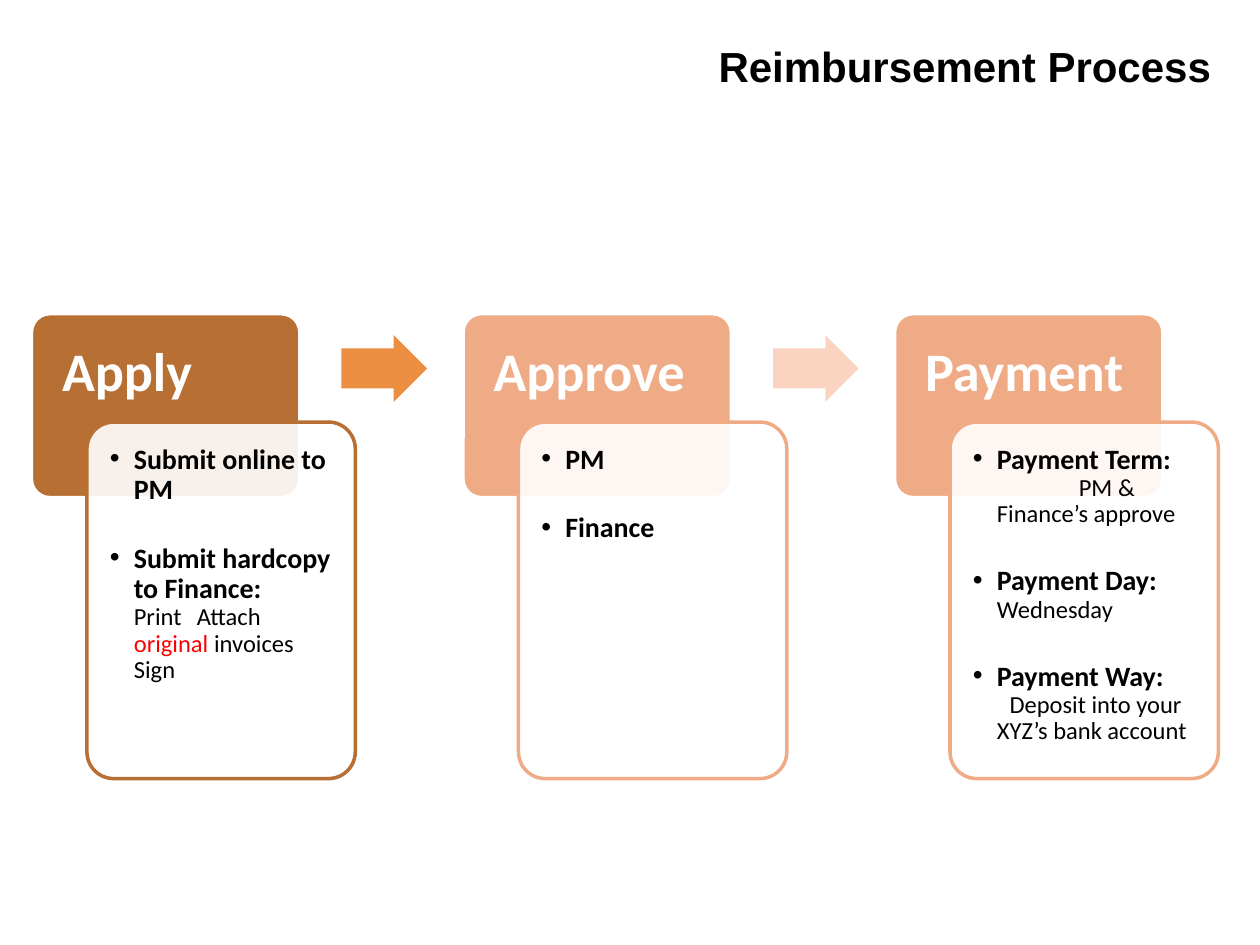
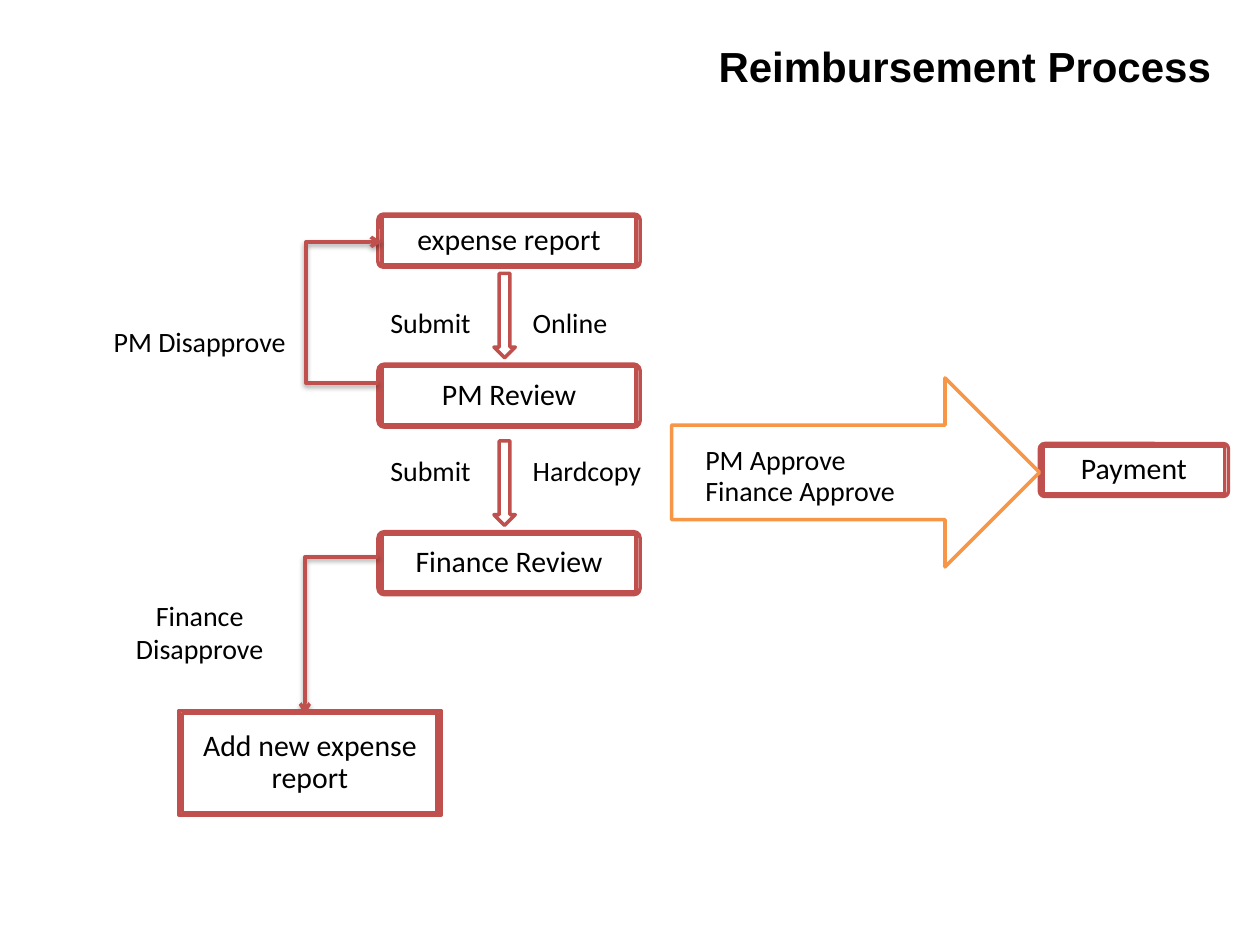
from lxml import etree
from pptx import Presentation
from pptx.dml.color import RGBColor
from pptx.enum.shapes import MSO_CONNECTOR as CONN, MSO_SHAPE as SHAPE
from pptx.enum.text import MSO_ANCHOR as ANCHOR, PP_ALIGN as ALIGN
from pptx.oxml.ns import qn
from pptx.util import Inches, Pt

TITLE = "Reimbursement Process"
BLACK, WHITE, RED = "000000", "FFFFFF", "FF0000"
BROWN, PEACH, BRICK, ORANGE = "B76F34", "EFAB85", "C0504D", "F79646"

# "first" is the extra indent of the first detail line
CARDS = [
    {"name": "Apply", "color": BROWN, "items": [
        {"head": "Submit online to PM"},
        {"head": "Submit hardcopy to Finance:", "details": [
            [("Print\tAttach ", BLACK), ("original ", RED), ("invoices", BLACK)],
            [("Sign", BLACK)]]}]},
    {"name": "Approve", "color": PEACH, "items": [
        {"head": "PM"}, {"head": "Finance"}]},
    {"name": "Payment", "color": PEACH, "items": [
        {"head": "Payment Term:", "first": 0.65,
         "details": [[("PM & Finance’s approve", BLACK)]]},
        {"head": "Payment Day:", "details": [[("Wednesday", BLACK)]]},
        {"head": "Payment Way:", "first": 0.1,
         "details": [[("Deposit into your XYZ’s bank account", BLACK)]]}]},
]
CARD_LEFT, CARD_PITCH, CARD_TOP = 0.25, 3.425, 2.49
CARD_ARROWS = ["EC8F43", "FBD4C1"]
BULLET_INDENT, DETAIL_TAB = 0.19, 0.92

STEPS = [
    ("expense report", 3, 1.7, 2.08, 0.42),
    ("PM Review", 3, 2.89, 2.08, 0.5),
    ("Finance Review", 3, 4.22, 2.08, 0.5),
    ("Payment", 8.25, 3.52, 1.5, 0.42),
]
NEW_REPORT = ("Add new expense report", 1.42, 5.64, 2.08, 0.83)
DOWN_ARROW_TOPS = [2.17, 3.5]
LABELS = [
    ("PM Approve", 5.5, 3.46, 1.83, ALIGN.LEFT),
    ("Finance Approve", 5.5, 3.71, 2.08, ALIGN.LEFT),
    ("PM Disapprove", 0.67, 2.53, 1.83, ALIGN.CENTER),
    ("Finance Disapprove", 0.67, 4.7, 1.83, ALIGN.CENTER),
    ("Submit", 3, 2.38, 0.9, ALIGN.LEFT),
    ("Online", 4.13, 2.38, 1.2, ALIGN.LEFT),
    ("Submit", 3, 3.55, 0.9, ALIGN.LEFT),
    ("Hardcopy", 4.13, 3.55, 1.2, ALIGN.LEFT),
]
RETURNS = [
    ("bentConnector3", (3, 3.04), (3.03, 1.92), -19.12),
    ("bentConnector2", (3, 4.42), (2.42, 5.67), None),
]


def rgb(color):
    return RGBColor.from_string(color)


def sub(parent, tag, **attrs):
    return etree.SubElement(parent, qn(tag), {k: str(v) for k, v in attrs.items()})


def style(r, size, color=BLACK, bold=False, font="Calibri"):
    r.font.name, r.font.size, r.font.bold = font, Pt(size), bold
    r.font.color.rgb = rgb(color)


def add_run(p, text, size, color=BLACK, bold=False):
    r = p.add_run()
    r.text = text
    style(r, size, color, bold)


def add_shape(s, kind, box, fill, line=None, adj=(), alpha=None):
    sp = s.shapes.add_shape(kind, *map(Inches, box))
    sp.shadow.inherit = False
    sp.fill.solid()
    sp.fill.fore_color.rgb = rgb(fill)
    if alpha:
        sub(sp.fill._xPr.find(qn("a:solidFill"))[0], "a:alpha", val=alpha * 1000)
    if line:
        sp.line.color.rgb = rgb(line)
        sp.line.width = Pt(2)
    else:
        sp.line.fill.background()
    for i, value in enumerate(adj):
        sp.adjustments[i] = value
    return sp


def set_frame(sp, anchor, insets):
    tf = sp.text_frame
    tf.word_wrap = True
    tf.vertical_anchor = anchor
    tf.margin_left, tf.margin_top, tf.margin_right, tf.margin_bottom = map(Inches, insets)
    return tf


def add_label(s, text, box, align, size=16, **font):
    sp = s.shapes.add_textbox(*map(Inches, box))
    tf = sp.text_frame
    tf.word_wrap = True
    p = tf.paragraphs[0]
    p.text, p.alignment = text, align
    style(p.runs[0], size, **font)
    return tf


def add_slide(prs):
    s = prs.slides.add_slide(prs.slide_layouts[6])
    tf = add_label(s, TITLE, (2.66, 0.18, 7.05, 0.69), ALIGN.RIGHT, 24,
                   bold=True, font="Arial")
    tf.vertical_anchor = ANCHOR.MIDDLE
    return s


def add_line(tf, first_used, indent):
    p = tf.add_paragraph() if first_used else tf.paragraphs[0]
    p.alignment, p.line_spacing = ALIGN.LEFT, 0.9
    pPr = p._p.get_or_add_pPr()
    pPr.set("marL", str(Inches(BULLET_INDENT)))
    pPr.set("indent", str(Inches(indent)))
    return p, pPr


def add_card(s, card, left):
    sp = add_shape(s, SHAPE.ROUNDED_RECTANGLE, (left, CARD_TOP, 2.13, 1.46),
                   card["color"], WHITE, [0.1])
    p = set_frame(sp, ANCHOR.TOP, (0.2, 0.2, 0.2, 0.1)).paragraphs[0]
    p.text, p.alignment, p.line_spacing = card["name"], ALIGN.LEFT, 0.9
    style(p.runs[0], 31, WHITE, True)

    sp = add_shape(s, SHAPE.ROUNDED_RECTANGLE, (left + 0.44, CARD_TOP + 0.86, 2.13, 2.83),
                   WHITE, card["color"], [0.1], alpha=90)
    tf = set_frame(sp, ANCHOR.TOP, [0.12] * 4)
    for i, item in enumerate(card["items"]):
        p, pPr = add_line(tf, i > 0, -BULLET_INDENT)
        if i:
            p.space_before = Pt(22)
        sub(pPr, "a:buFont", typeface="Arial")
        sub(pPr, "a:buChar", char="•")
        add_run(p, item["head"], 16, bold=True)
        for detail in item.get("details", []):
            p, pPr = add_line(tf, True, item.get("first", 0))
            sub(pPr, "a:buNone")
            if any("\t" in text for text, _ in detail):
                sub(sub(pPr, "a:tabLst"), "a:tab", pos=Inches(DETAIL_TAB), algn="l")
            for text, color in detail:
                add_run(p, text, 14, color)


def add_step(s, text, left, top, width, height, corner=0.1):
    add_shape(s, SHAPE.ROUNDED_RECTANGLE, (left, top, width, height), WHITE, BRICK, [corner])
    sp = add_shape(s, SHAPE.RECTANGLE, (left + 0.03, top + 0.02, width - 0.06, height - 0.04),
                   WHITE, BRICK)
    p = set_frame(sp, ANCHOR.MIDDLE, [0.01] * 4).paragraphs[0]
    p.text, p.alignment, p.line_spacing = text, ALIGN.CENTER, 0.9
    style(p.runs[0], 17)


def add_return(s, geometry, start, end, bend):
    cx = s.shapes.add_connector(CONN.ELBOW, *map(Inches, start + end))
    cx.line.color.rgb = rgb(BRICK)
    cx.line.width = Pt(2)
    sub(cx.line._get_or_add_ln(), "a:tailEnd", type="arrow")
    spPr = cx._element.spPr
    geom = spPr.find(qn("a:prstGeom"))
    geom.set("prst", geometry)
    if bend is not None:
        guides = geom.find(qn("a:avLst"))
        if guides is None:
            guides = sub(geom, "a:avLst")
        sub(guides, "a:gd", name="adj1", fmla=f"val {round(bend * 100000)}")
    shadow = sub(sub(spPr, "a:effectLst"), "a:outerShdw", blurRad=Pt(3.1), dist=Pt(1.6),
                 dir=5400000, rotWithShape=0)
    sub(sub(shadow, "a:srgbClr", val=BLACK), "a:alpha", val=38000)


def build_overview(prs):
    s = add_slide(prs)
    for i, card in enumerate(CARDS):
        add_card(s, card, CARD_LEFT + i * CARD_PITCH)
    for i, color in enumerate(CARD_ARROWS):
        add_shape(s, SHAPE.RIGHT_ARROW, (CARD_LEFT + 2.46 + i * CARD_PITCH, 2.66, 0.68, 0.53),
                  color, adj=[0.6, 0.5])


def build_flow(prs):
    s = add_slide(prs)
    for step in STEPS:
        add_step(s, *step)
    for top in DOWN_ARROW_TOPS:
        add_shape(s, SHAPE.DOWN_ARROW, (3.92, top, 0.17, 0.67), WHITE, BRICK)
    add_shape(s, SHAPE.RIGHT_ARROW, (5.33, 3, 2.92, 1.5), WHITE, ORANGE)
    for route in RETURNS:
        add_return(s, *route)
    add_step(s, *NEW_REPORT, corner=0)
    for text, left, top, width, align in LABELS:
        add_label(s, text, (left, top, width, 0.37), align)


def main():
    prs = Presentation()
    prs.slide_width, prs.slide_height = Inches(10), Inches(7.5)
    build_overview(prs)
    build_flow(prs)
    prs.save("out.pptx")


if __name__ == "__main__":
    main()
